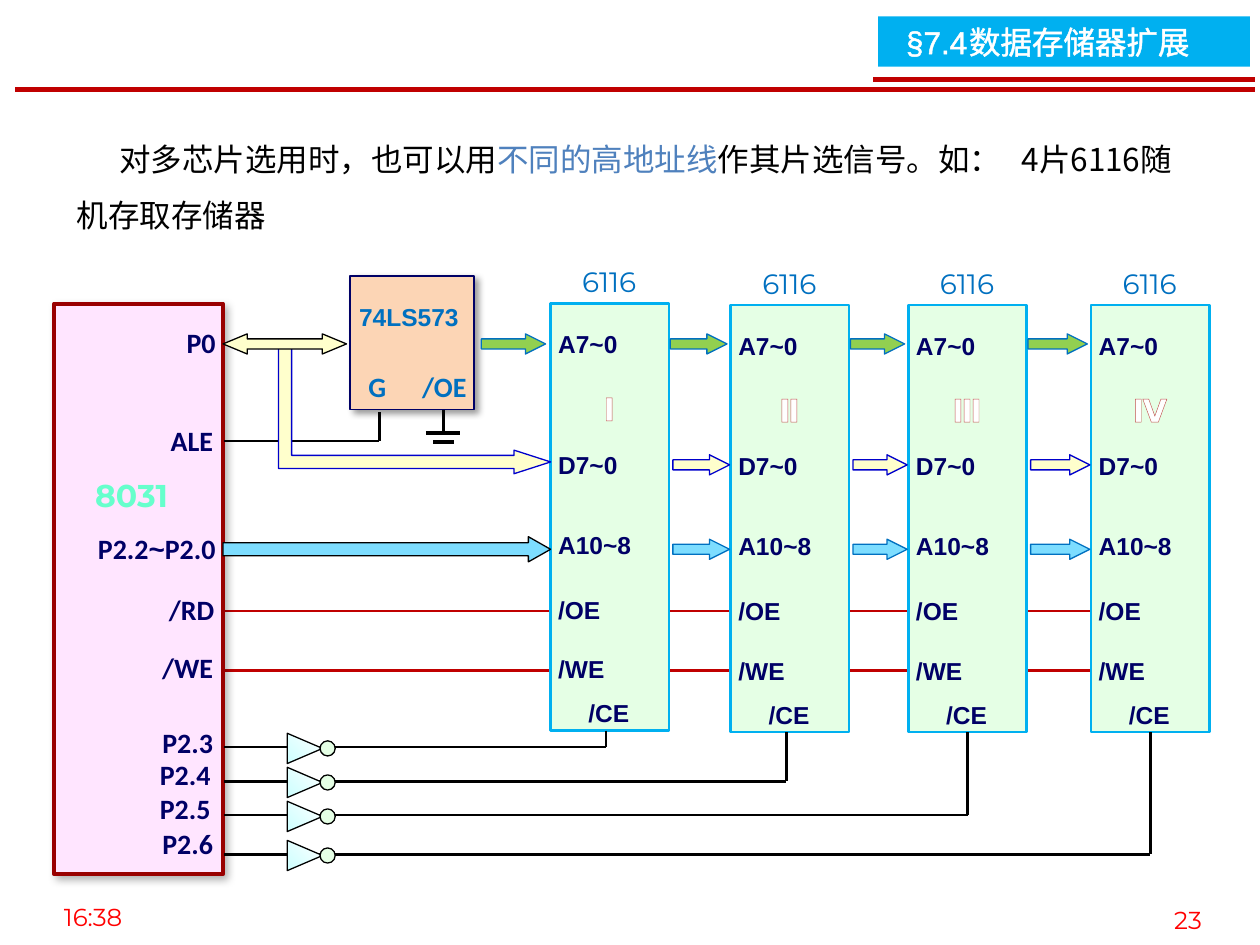
"""Build a slide on selecting four 6116 memory chips with high address lines."""
from pptx import Presentation, oxml
from pptx.dml.color import RGBColor
from pptx.enum import shapes, text
from pptx.oxml import ns
from pptx.util import Inches, Pt

BLACK = RGBColor(0x00, 0x00, 0x00)
WHITE = RGBColor(0xFF, 0xFF, 0xFF)
RED = RGBColor(0xFF, 0x00, 0x00)
DARK_RED = RGBColor(0xC0, 0x00, 0x00)
MAROON = RGBColor(0x99, 0x00, 0x00)
BRICK = RGBColor(0xC0, 0x50, 0x4D)
NAVY = RGBColor(0x00, 0x00, 0x66)
BLUE = RGBColor(0x00, 0x00, 0xCC)
MID_BLUE = RGBColor(0x00, 0x70, 0xC0)
SOFT_BLUE = RGBColor(0x4F, 0x81, 0xBD)
SKY = RGBColor(0x00, 0xB0, 0xF0)
PALE_BLUE = RGBColor(0x7D, 0xDD, 0xFF)
CYAN = RGBColor(0xCC, 0xFF, 0xFF)
AQUA = RGBColor(0x66, 0xFF, 0xCC)
MINT = RGBColor(0xE5, 0xFF, 0xE5)
GREEN = RGBColor(0x92, 0xD0, 0x50)
PINK = RGBColor(0xFF, 0xE5, 0xFF)
PEACH = RGBColor(0xFC, 0xD5, 0xB5)
CREAM = RGBColor(0xFF, 0xFF, 0xCC)
CJK = "Noto Sans CJK SC"

HEADING = "§7.4\t数据存储器扩展"
INTRO = [("对多芯片选用时，也可以用", {}), ("不同的高地址线", {"color": SOFT_BLUE}),
         ("作其片选信号。如：\t4片6116随机存取存储器", {})]
CPU_PINS = [("P0", 1.71, 2.58), ("ALE", 1.69, 3.36),
            ([("P2.2", {}), ("~", {"font": "Arial"}), ("P2.0", {})], 1.71, 4.22),
            ("/RD", 1.70, 4.70), ("/WE", 1.69, 5.16), ("P2.3", 1.69, 5.76),
            ("P2.4", 1.67, 6.01), ("P2.5", 1.67, 6.28), ("P2.6", 1.69, 6.56)]
CHIP_PINS = [("A7~0", 0.06, 0.20), ("D7~0", 0.06, 1.16), ("A10~8", 0.06, 1.79),
             ("/OE", 0.06, 2.31), ("/WE", 0.06, 2.78), ("/CE", 0.30, 3.13)]
CHIPS = [("Ⅰ", 4.37, 2.41, 4.81, 5.93), ("Ⅱ", 5.80, 2.42, 6.24, 6.20),
         ("Ⅲ", 7.21, 2.42, 7.68, 6.47), ("Ⅳ", 8.66, 2.42, 9.13, 6.78)]
CHIP_SIZE = (0.94, 3.39)
BUSES = [(2.65, 0.01, GREEN, MID_BLUE), (3.61, 0.03, CREAM, BLUE),
         (4.28, 0.03, PALE_BLUE, MID_BLUE)]
WIRES = [((1.78, 3.50), (3.01, 3.50), 1.5), ((3.01, 3.50), (3.01, 3.27), 1.5),
         ((3.52, 3.25), (3.52, 3.44), 1.5), ((3.38, 3.44), (3.65, 3.44), 2.25),
         ((3.44, 3.51), (3.60, 3.51), 2.25)]

deck = Presentation()
deck.slide_width, deck.slide_height = Inches(10), Inches(7.5)
page = deck.slides.add_slide(deck.slide_layouts[6])


def inches(values):
    return [Inches(value) for value in values]


def add_xml(parent, xml, index=None):
    element = oxml.parse_xml(xml.replace(">", f" {ns.nsdecls('a')}>", 1))
    parent.insert(len(parent) if index is None else index, element)


def write(content, place, *, size=14, font="Arial", color=NAVY, bold=False, align="LEFT",
          inset=(0, 0), outline=None, tab=None, indent=0, spacing=None, anchor="MIDDLE",
          east=None, box=None):
    box = box or page.shapes.add_textbox(*inches(place))
    frame = box.text_frame
    frame.word_wrap = True
    frame.auto_size = text.MSO_AUTO_SIZE.SHAPE_TO_FIT_TEXT
    frame.vertical_anchor = text.MSO_ANCHOR[anchor]
    frame.margin_left = frame.margin_right = Inches(inset[0])
    frame.margin_top = frame.margin_bottom = Inches(inset[1])
    para = frame.paragraphs[0]
    if tab:
        props = para._p.get_or_add_pPr()
        props.set("indent", str(Inches(indent)))
        add_xml(props, f'<a:tabLst><a:tab pos="{Inches(tab)}" algn="l"/></a:tabLst>')
    para.alignment = text.PP_ALIGN[align]
    if spacing:
        para.line_spacing = spacing
    for words, changes in [(content, {})] if isinstance(content, str) else content:
        span = para.add_run()
        span.text = words
        span.font.size, span.font.bold = Pt(size), bold
        span.font.name = changes.get("font", font)
        span.font.color.rgb = changes.get("color", color)
        props = span._r.get_or_add_rPr()
        if east:
            add_xml(props, f'<a:ea typeface="{east}"></a:ea>')
        if outline:
            rgb, width = outline
            add_xml(props, f'<a:ln w="{Pt(width)}"><a:solidFill><a:srgbClr val="{rgb}"/>'
                           '</a:solidFill></a:ln>', 0)


def draw(kind, place, fill, line=None, width=0.75, adjust=(), turn=0, shadow=None):
    shape = page.shapes.add_shape(shapes.MSO_SHAPE[kind], *inches(place))
    shape.shadow.inherit = False
    shape.rotation = turn
    for index, value in enumerate(adjust):
        shape.adjustments[index] = value
    if isinstance(fill, RGBColor):
        shape.fill.solid()
        shape.fill.fore_color.rgb = fill
    else:
        shape.fill.gradient()
        shape.fill.gradient_angle = 315
        for stop, color in zip(shape.fill.gradient_stops, fill):
            stop.color.rgb = color
    if line is None:
        shape.line.fill.background()
    else:
        shape.line.color.rgb, shape.line.width = line, Pt(width)
    if shadow:
        alpha, blur, distance, angle = shadow
        effects = shape._element.spPr.find(ns.qn("a:effectLst"))
        add_xml(effects, f'<a:outerShdw blurRad="{Pt(blur)}" dist="{Pt(distance)}" '
                         f'dir="{angle * 60000}" algn="tl" rotWithShape="0">'
                         f'<a:srgbClr val="000000"><a:alpha val="{alpha * 1000}"/>'
                         '</a:srgbClr></a:outerShdw>')
    return shape


def connect(start, end, width=1.5, color=BLACK):
    wire = page.shapes.add_connector(shapes.MSO_CONNECTOR.STRAIGHT, *inches(start + end))
    wire.line.color.rgb, wire.line.width = color, Pt(width)
    add_xml(wire._element.spPr, "<a:effectLst></a:effectLst>")
    return wire


def add_frame():
    footer = dict(font="Montserrat", color=RED, align="CENTER", inset=(0.1, 0.05), anchor="TOP")
    write("16:38", (0.23, 7.11, 1.02, 0.35), **footer)
    write("23", (9.06, 7.13, 0.74, 0.35), **footer)
    connect((0.12, 0.71), (9.96, 0.71), 3, DARK_RED)
    banner = draw("RECTANGLE", (6.97, 0.13, 2.95, 0.4), SKY)
    write(HEADING, None, box=banner, size=18, color=WHITE, inset=(0.22, 0.05), tab=0.75,
          east=CJK, outline=(WHITE, 1.45))
    connect((6.93, 0.63), (9.96, 0.63), 3, DARK_RED)
    write(INTRO, (0.51, 0.91, 9.06, 0.96), size=18, font=CJK, east=CJK, color=BLACK,
          inset=(0.1, 0.05), anchor="TOP", spacing=1.5, indent=0.34, tab=7.62)


def add_processor():
    draw("RECTANGLE", (0.43, 2.41, 1.34, 4.53), PINK, MAROON, 2.25, shadow=(30, 4.5, 2.6, 53))
    for label, right, top in CPU_PINS:
        write(label, (right - 1.02, top, 1.02, 0.27), size=16, font="Calibri", bold=True,
              align="RIGHT")
    write("8031", (0.63, 3.78, 0.83, 0.3), size=18, font="Montserrat", color=AQUA, bold=True,
          align="CENTER", outline=(BRICK, 0.52))


def add_latch():
    for start, end, width in WIRES:
        connect(start, end, width)
    draw("RECTANGLE", (2.78, 2.19, 0.98, 1.06), PEACH, NAVY, 1, shadow=(40, 4, 3, 45))
    write("74LS573", (2.85, 2.39, 0.86, 0.24), color=MID_BLUE, bold=True)
    for label, left, width, align in [("G", 2.80, 0.39, "CENTER"), ("/OE", 3.35, 0.47, "LEFT")]:
        write(label, (left, 2.93, width, 0.27), size=16, font="Calibri", color=MID_BLUE,
              bold=True, align=align)


def add_chip(numeral, left, top, drop, level):
    connect((1.78, level), (drop, level))
    draw("ISOSCELES_TRIANGLE", (2.3, level - 0.13, 0.24, 0.28), (WHITE, CYAN), BLACK, turn=90)
    draw("OVAL", (2.54, level - 0.05, 0.12, 0.12), MINT, BLACK)
    width, height = CHIP_SIZE
    chip = draw("RECTANGLE", (left, top, width, height), MINT, SKY, 1.5)
    select = connect((drop, top + height), (drop, level))
    if abs(left + width / 2 - drop) < 0.01:
        select.begin_connect(chip, 2)
    write("6116", (left + 0.05, top - 0.31, 0.83, 0.27), size=16, font="Montserrat",
          color=MID_BLUE, align="CENTER")
    for label, across, down in CHIP_PINS:
        write(label, (left + across, top + down, 0.67, 0.24), bold=True)
    write(numeral, (left + 0.27, top + 0.64, 0.39, 0.38), size=18, font="Calibri", color=WHITE,
          bold=True, align="CENTER", inset=(0, 0.04), outline=(BRICK, 0.52))


def add_buses():
    draw("RIGHT_ARROW", (3.82, 2.65, 0.51, 0.16), GREEN, MID_BLUE, adjust=(0.5, 1))
    draw("RIGHT_ARROW", (1.77, 4.26, 2.6, 0.2), PALE_BLUE, BLACK, adjust=(0.52, 0.88))
    draw("BENT_UP_ARROW", (2.77, 2.16, 1.04, 2.16), CREAM, BLUE, adjust=(0.1, 0.09, 0.28),
         turn=90)
    draw("LEFT_RIGHT_ARROW", (1.77, 2.65, 0.98, 0.16), CREAM, BLACK, adjust=(0.5, 1.2))
    for top, gap, fill, line in BUSES:
        for chip, following in zip(CHIPS, CHIPS[1:]):
            left = chip[1] + CHIP_SIZE[0] + gap
            draw("RIGHT_ARROW", (left, top, following[1] - left - 0.04 + gap, 0.16), fill, line,
                 adjust=(0.5, 1))


def main():
    add_frame()
    for level in (4.85, 5.32):
        connect((1.78, level), (8.67, level), color=DARK_RED)
    add_processor()
    add_latch()
    for chip in CHIPS:
        add_chip(*chip)
    add_buses()
    deck.save("out.pptx")


if __name__ == "__main__":
    main()
